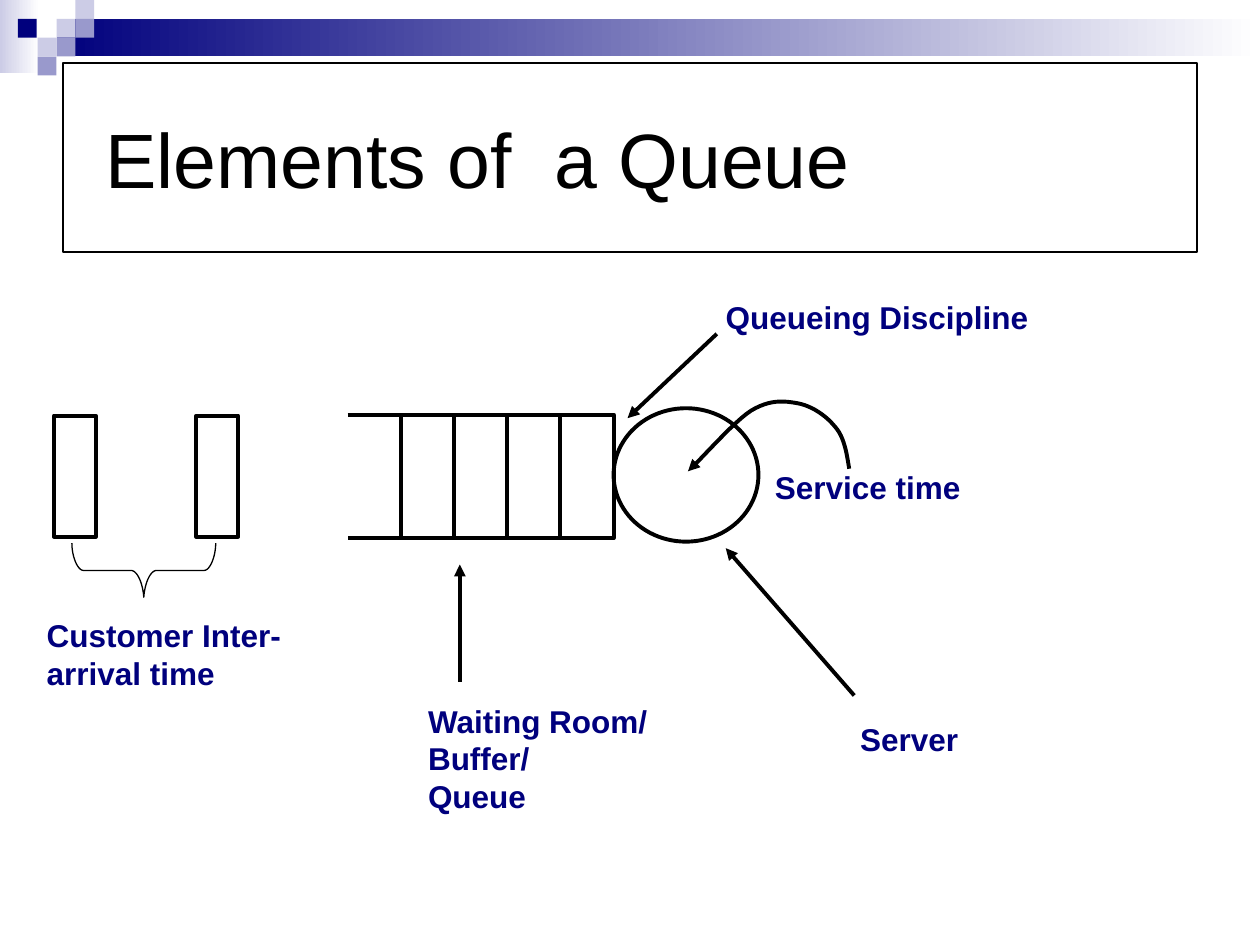
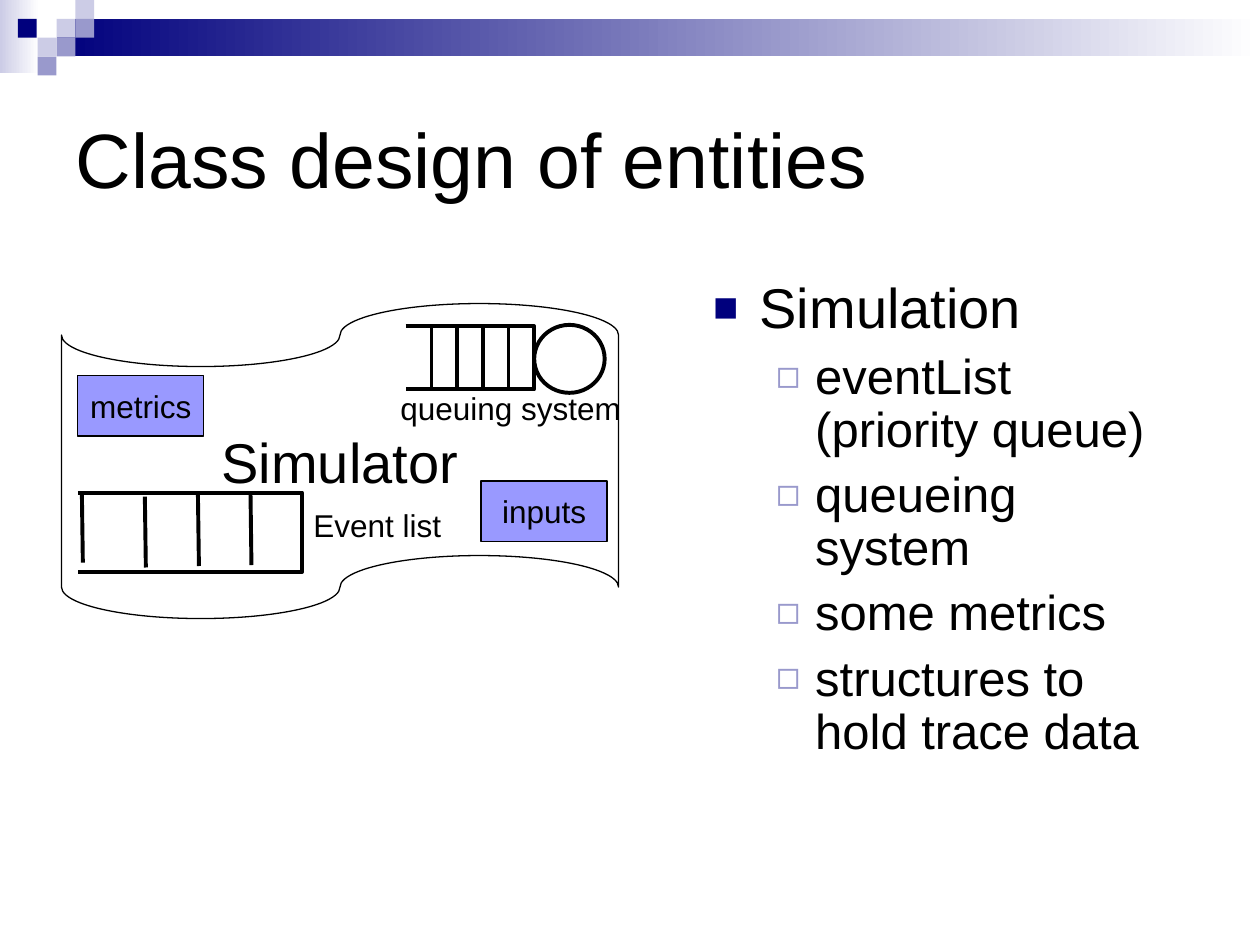
from lxml import etree
from pptx import Presentation
from pptx.dml.color import RGBColor
from pptx.enum.shapes import MSO_CONNECTOR, MSO_SHAPE
from pptx.enum.text import MSO_ANCHOR, MSO_AUTO_SIZE, PP_ALIGN
from pptx.oxml.ns import qn
from pptx.util import Cm, Pt

RECT, OVAL = MSO_SHAPE.RECTANGLE, MSO_SHAPE.OVAL
TAPE = MSO_SHAPE.FLOWCHART_PUNCHED_TAPE
STRAIGHT = MSO_CONNECTOR.STRAIGHT
TOP, MIDDLE = MSO_ANCHOR.TOP, MSO_ANCHOR.MIDDLE
LEFT, CENTER = PP_ALIGN.LEFT, PP_ALIGN.CENTER
FIXED = MSO_AUTO_SIZE.NONE

FONT = "Arial"
COLORS = {"ink": "000000", "navy": "00007D", "mid": "9999CC",
          "pale": "CCCCE6", "panel": "9999FF", "white": "FFFFFF"}
THIN, THICK = 0.75, 2.25

# Shared look: all places are in centimetres
TITLE_PLACE = (1.27, 1.27, 22.86, 3.81)
FADES = [((0, 0, 0.79, 1.47), "pale"), ((1.14, 0.38, 24.26, 0.76), "navy")]
TILE = 0.38
TILES = [(1.14, 0.38, "pale"), (1.52, 0, "pale"), (1.52, 0.38, "mid"),
         (0.76, 0.76, "pale"), (0.36, 0.38, "navy"), (1.14, 0.76, "mid"),
         (0.76, 1.14, "mid")]

# Slide 1: elements of a queue
QUEUE_TITLE = "Elements of  a Queue"
CUSTOMERS = [(1.09, 8.38, 0.84, 2.44), (3.96, 8.38, 0.84, 2.44)]
WAITING_ROOM = (7.01, 8.36, 5.36, 2.49)
SERVER = (12.37, 8.23, 2.92, 2.69)
POINTERS = [((17.22, 14.02), (14.63, 11.05)),
            ((9.27, 13.74), (9.27, 11.38)),
            ((14.45, 6.73), (12.65, 8.43))]
QUEUE_LABELS = [
    (["Server"], (17.09, 14.4, 2.49, 1.02), False),
    (["Waiting Room/", "Buffer/", "Queue"], (8.38, 14.02, 5.13, 2.54), False),
    (["Queueing Discipline"], (14.38, 5.89, 6.6, 1.02), False),
    (["Customer Inter-arrival time"], (0.69, 12.29, 5.28, 1.78), True),
    (["Service time"], (15.37, 9.32, 5.28, 1.02), True),
]
# Each curve is a start point and then three control points per piece
SERVICE_CURVE = [
    (17.12, 9.45), (17.07, 9.14), (17.02, 8.81), (16.84, 8.61),
    (16.66, 8.38), (16.36, 8.18), (16.08, 8.13), (15.8, 8.08),
    (15.52, 8.05), (15.14, 8.28), (14.78, 8.51), (14.1, 9.3), (13.87, 9.5)]
BRACE_CORNER = [(1.45, 10.95), (1.45, 11.23), (1.57, 11.5), (1.68, 11.5)]
BRACE_TIP = [(2.64, 11.5), (2.77, 11.5), (2.88, 11.76), (2.9, 12.04)]

# Slide 2: class design
DESIGN_TITLE = "Class design of entities"
MEMBERS_PLACE = (14.12, 5.51, 10.01, 10.8)
MEMBERS = [(0, "Simulation"), (1, "eventList (priority queue)"),
           (1, "queueing system"), (1, "some metrics"),
           (1, "structures to hold trace data")]
LEVELS = [
    dict(size=32, margin=0.94, hang=-0.94, before=8, bullet=("■", "navy", 75)),
    dict(size=28, margin=2.06, hang=-0.79, before=7, bullet=("◻", "mid", 80)),
]
SIMULATOR = (1.24, 6.12, 11.23, 6.35)
SMALL_QUEUE = (8.18, 6.58, 2.59, 1.27)
SMALL_SERVER = (10.77, 6.55, 1.42, 1.37)
EVENT_LIST = (1.57, 9.93, 4.52, 1.6)
EVENT_DIVIDERS = [(5.05, 9.96), (3.99, 9.98), (2.92, 10.01), (1.65, 9.91)]
DESIGN_LABELS = [("queuing system", (7.82, 7.72, 4.95, 1.02)),
                 ("Event list", (6.07, 10.08, 3.07, 1.02))]
PANELS = [("metrics", (1.57, 7.57, 2.54, 1.22)),
          ("inputs", (9.7, 9.7, 2.54, 1.22))]


def rgb(name):
    return RGBColor.from_string(COLORS[name])


def cm(values):
    return [Cm(value) for value in values]


def add_bullet(props, char, color, percent):
    tint = etree.SubElement(etree.SubElement(props, qn("a:buClr")),
                            qn("a:srgbClr"))
    tint.set("val", COLORS[color])
    etree.SubElement(props, qn("a:buSzPct")).set("val", str(percent * 1000))
    etree.SubElement(props, qn("a:buChar")).set("char", char)


def write(frame, text, size=18, color="ink", bold=False, align=LEFT,
          margin=0, hang=0, level=0, before=0, spacing=None, bullet=None,
          first=True):
    """Put one paragraph into a text frame."""
    paragraph = frame.paragraphs[0] if first else frame.add_paragraph()
    paragraph.level = level
    paragraph.alignment = align
    props = paragraph._p.get_or_add_pPr()
    props.set("marL", str(Cm(margin)))
    props.set("indent", str(Cm(hang)))
    if bullet:
        add_bullet(props, *bullet)
    paragraph.space_before = Pt(0 if first else before)
    if spacing:
        paragraph.line_spacing = spacing
    run = paragraph.add_run()
    run.text = text
    run.font.name, run.font.size, run.font.bold = FONT, Pt(size), bold
    run.font.color.rgb = rgb(color)


def set_frame(shape, wrap=False, anchor=TOP):
    frame = shape.text_frame
    frame.auto_size = FIXED
    frame.word_wrap = wrap
    frame.vertical_anchor = anchor
    return frame


def outline(shape, width):
    shape.line.color.rgb = rgb("ink")
    shape.line.width = Pt(width)


def add_arrowhead(line):
    etree.SubElement(line.line._get_or_add_ln(),
                     qn("a:tailEnd")).set("type", "triangle")


def add_box(slide, kind, place, fill=None, width=None):
    box = slide.shapes.add_shape(kind, *cm(place))
    box.shadow.inherit = False
    if fill:
        box.fill.solid()
        box.fill.fore_color.rgb = rgb(fill)
    else:
        box.fill.background()
    if width:
        outline(box, width)
    else:
        box.line.fill.background()
    return box


def add_line(slide, start, end, arrow=False):
    line = slide.shapes.add_connector(STRAIGHT, *cm(start + end))
    outline(line, THICK)
    if arrow:
        add_arrowhead(line)
    etree.SubElement(line._element.spPr, qn("a:effectLst"))


def add_path(slide, points, width=THICK, arrow=False):
    start, *rest = [tuple(cm(point)) for point in points]
    builder = slide.shapes.build_freeform(*start)
    builder.add_line_segments(rest, close=False)
    path_shape = builder.convert_to_shape()
    path_shape.shadow.inherit = False
    path_shape.fill.background()
    outline(path_shape, width)
    if arrow:
        add_arrowhead(path_shape)


def curve(controls, steps=12):
    """Points along joined cubic Bezier pieces."""
    points = [controls[0]]
    for i in range(0, len(controls) - 1, 3):
        piece = controls[i:i + 4]
        for step in range(1, steps + 1):
            t = step / steps
            weights = ((1 - t) ** 3, 3 * t * (1 - t) ** 2,
                       3 * t * t * (1 - t), t ** 3)
            points.append(tuple(sum(w * p[axis] for w, p in zip(weights, piece))
                                for axis in (0, 1)))
    return points


def add_open_box(slide, place):
    left, top, width, height = place
    right, bottom = left + width, top + height
    add_path(slide, [(left, top), (right, top), (right, bottom), (left, bottom)])


def add_queue(slide, room, server, slots=5):
    add_box(slide, OVAL, server, width=THICK)
    add_open_box(slide, room)
    left, top, width, height = room
    for slot in range(1, slots):
        x = left + width * slot / slots
        add_line(slide, (x, top), (x, top + height))


def add_label(slide, lines, place, wrap=False, **style):
    frame = set_frame(slide.shapes.add_textbox(*cm(place)), wrap)
    for i, text in enumerate(lines):
        write(frame, text, first=i == 0, **style)


def place_placeholder(shape, place):
    shape.left, shape.top, shape.width, shape.height = cm(place)


def add_title(slide, text, **style):
    title = slide.shapes.title
    place_placeholder(title, TITLE_PLACE)
    write(set_frame(title, True, MIDDLE), text, size=44, **style)
    return title


def decorate_master(prs, slide):
    """Draw the top band once and move it to the slide master."""
    parts = []
    for place, color in FADES:
        fade = add_box(slide, RECT, place)
        fade.fill.gradient()
        fade.fill.gradient_angle = 0
        for stop, name in zip(fade.fill.gradient_stops, (color, "white")):
            stop.color.rgb = rgb(name)
        parts.append(fade)
    for x, y, color in TILES:
        parts.append(add_box(slide, RECT, (x, y, TILE, TILE), color))
    for part in parts:
        prs.slide_master.shapes.element.append(part._element)


def build_queue_slide(slide):
    title = add_title(slide, QUEUE_TITLE, margin=1.19, hang=-0.59)
    outline(title, THIN)
    add_queue(slide, WAITING_ROOM, SERVER)
    for start, end in POINTERS:
        add_line(slide, start, end, arrow=True)
    for place in CUSTOMERS:
        add_box(slide, RECT, place, width=THICK)
    # The brace is one half and its mirror image
    half = curve(BRACE_CORNER) + curve(BRACE_TIP)
    axis = half[-1][0]
    mirrored = [(2 * axis - x, y) for x, y in reversed(half[:-1])]
    add_path(slide, half + mirrored, THIN)
    for lines, place, wrap in QUEUE_LABELS:
        add_label(slide, lines, place, wrap, color="navy", bold=True)
    add_path(slide, curve(SERVICE_CURVE), arrow=True)


def build_design_slide(slide):
    add_title(slide, DESIGN_TITLE)
    # Member list
    members = slide.placeholders[1]
    place_placeholder(members, MEMBERS_PLACE)
    frame = set_frame(members, True)
    for i, (level, text) in enumerate(MEMBERS):
        write(frame, text, level=level, spacing=0.9, first=i == 0,
              **LEVELS[level])
    # Simulator and what it holds
    simulator = add_box(slide, TAPE, SIMULATOR, width=THIN)
    write(set_frame(simulator, anchor=MIDDLE), "Simulator", size=32, align=CENTER)
    add_queue(slide, SMALL_QUEUE, SMALL_SERVER)
    add_open_box(slide, EVENT_LIST)
    for x, y in EVENT_DIVIDERS:
        add_line(slide, (x, y), (x + 0.02, y + 1.43))
    for text, place in DESIGN_LABELS:
        add_label(slide, [text], place)
    for text, place in PANELS:
        panel = add_box(slide, RECT, place, "panel", THIN)
        write(set_frame(panel, anchor=MIDDLE), text, align=CENTER)


def main():
    prs = Presentation()
    prs.slide_width, prs.slide_height = Cm(25.4), Cm(19.05)
    queue_slide = prs.slides.add_slide(prs.slide_layouts[5])
    decorate_master(prs, queue_slide)
    build_queue_slide(queue_slide)
    build_design_slide(prs.slides.add_slide(prs.slide_layouts[1]))
    prs.save("out.pptx")


if __name__ == "__main__":
    main()
